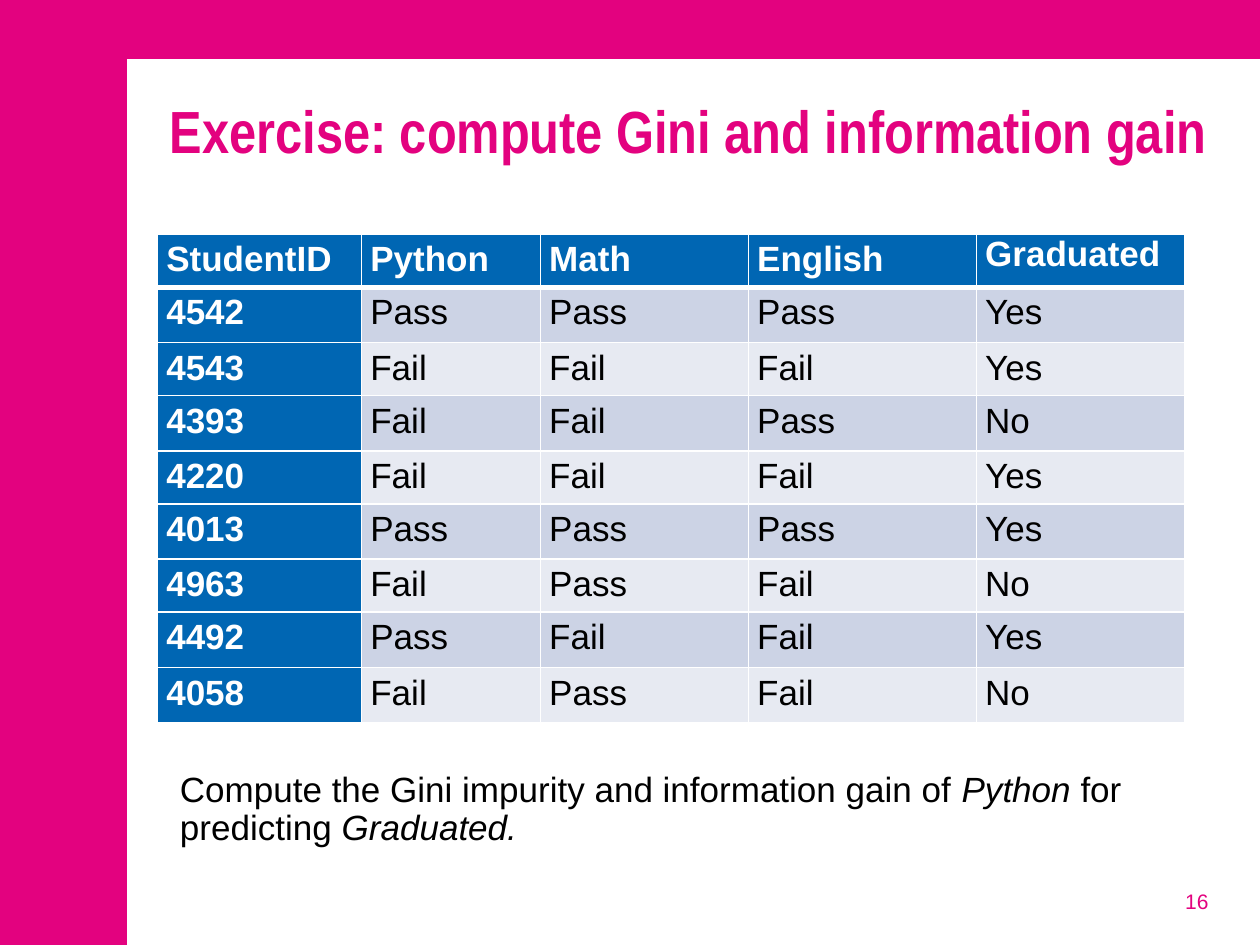
from dataclasses import dataclass

from lxml import etree
from pptx import Presentation
from pptx.dml.color import RGBColor
from pptx.enum.shapes import MSO_SHAPE
from pptx.enum.text import MSO_ANCHOR, PP_ALIGN
from pptx.oxml.ns import qn
from pptx.util import Inches, Pt

RECTANGLE = MSO_SHAPE.RECTANGLE
TOP, MIDDLE = MSO_ANCHOR.TOP, MSO_ANCHOR.MIDDLE
LEFT, RIGHT = PP_ALIGN.LEFT, PP_ALIGN.RIGHT


@dataclass(frozen=True)
class Theme:
    accent: str = "E3027F"
    paper: str = "FFFFFF"
    ink: str = "000000"
    header: str = "0066B3"
    bands: tuple = ("CCD3E5", "E7EAF2")
    font: str = "Arial"
    title_font: str = "Arial Narrow"
    title_size: int = 34
    body_size: int = 20
    number_size: int = 12


class SlideBuilder:
    def __init__(self, slide, theme):
        self.slide = slide
        self.theme = theme

    def background(self, color):
        fill = self.slide.background.fill
        fill.solid()
        fill.fore_color.rgb = RGBColor.from_string(color)

    def panel(self, box, color):
        shape = self.slide.shapes.add_shape(RECTANGLE, *map(Inches, box))
        shape.shadow.inherit = False
        shape.fill.solid()
        shape.fill.fore_color.rgb = RGBColor.from_string(color)
        shape.line.fill.background()

    def style(self, paragraph, size, color, font=None, bold=False):
        paragraph.font.name = font or self.theme.font
        paragraph.font.size = Pt(size)
        paragraph.font.bold = bold
        paragraph.font.color.rgb = RGBColor.from_string(color)

    def text(self, box, runs, size, color, font=None, bold=False,
             align=LEFT, anchor=TOP):
        """Add one paragraph; runs are (wording, italic) pairs."""
        frame = self.slide.shapes.add_textbox(*map(Inches, box)).text_frame
        frame.word_wrap = True
        frame.vertical_anchor = anchor
        paragraph = frame.paragraphs[0]
        paragraph.alignment = align
        self.style(paragraph, size, color, font, bold)
        for wording, italic in runs:
            run = paragraph.add_run()
            run.text = wording
            if italic:
                run.font.italic = True
        return frame

    def border(self, cell, side, points):
        line = etree.SubElement(cell._tc.get_or_add_tcPr(), qn(f"a:ln{side}"),
                                w=str(Pt(points)))
        fill = etree.SubElement(line, qn("a:solidFill"))
        etree.SubElement(fill, qn("a:srgbClr"), val=self.theme.paper)

    def cell(self, cell, wording, row, column):
        theme = self.theme
        heading = row == 0 or column == 0
        # Borders come before the fill in the cell properties
        for side in "LRTB":
            under_header = (row, side) in ((0, "B"), (1, "T"))
            self.border(cell, side, 3 if under_header else 1)
        cell.fill.solid()
        cell.fill.fore_color.rgb = RGBColor.from_string(
            theme.header if heading else theme.bands[(row - 1) % 2])
        cell.margin_left = cell.margin_right = Inches(0.07)
        cell.margin_top = cell.margin_bottom = 0
        cell.text = wording
        paragraph = cell.text_frame.paragraphs[0]
        self.style(paragraph, theme.body_size,
                   theme.paper if heading else theme.ink, bold=heading)
        return paragraph

    def table(self, left, top, widths, heights, records):
        table = self.slide.shapes.add_table(
            len(heights), len(widths), Inches(left), Inches(top),
            Inches(sum(widths)), Inches(sum(heights))).table
        for column, width in zip(table.columns, widths):
            column.width = Inches(width)
        for row, height in zip(table.rows, heights):
            row.height = Inches(height)
        for row, record in enumerate(records):
            for column, wording in enumerate(record):
                paragraph = self.cell(table.cell(row, column), wording, row, column)
                # The last heading keeps single line spacing
                if (row, column) != (0, len(widths) - 1):
                    paragraph.line_spacing = 1.15
                    paragraph.space_after = Pt(10)


STUDENTS = [
    ("StudentID", "Python", "Math", "English", "Graduated"),
    ("4542", "Pass", "Pass", "Pass", "Yes"),
    ("4543", "Fail", "Fail", "Fail", "Yes"),
    ("4393", "Fail", "Fail", "Pass", "No"),
    ("4220", "Fail", "Fail", "Fail", "Yes"),
    ("4013", "Pass", "Pass", "Pass", "Yes"),
    ("4963", "Fail", "Pass", "Fail", "No"),
    ("4492", "Pass", "Fail", "Fail", "Yes"),
    ("4058", "Fail", "Pass", "Fail", "No"),
]


def main():
    presentation = Presentation()
    presentation.slide_width, presentation.slide_height = Inches(10), Inches(7.5)
    theme = Theme()
    builder = SlideBuilder(
        presentation.slides.add_slide(presentation.slide_layouts[6]), theme)

    # Frame and page number
    builder.background(theme.accent)
    builder.panel((1.01, 0.47, 8.99, 7.03), theme.paper)
    builder.text((7.36, 6.95, 2.33, 0.4), [("16", False)], theme.number_size,
                 theme.accent, align=RIGHT, anchor=MIDDLE)

    # Title
    title = builder.text(
        (1.25, 0.7, 8.44, 1.34),
        [("Exercise: compute Gini and information gain", False)],
        theme.title_size, theme.accent, theme.title_font, bold=True)
    title.margin_right = 0

    # Student results
    builder.table(1.25, 1.86, (1.62, 1.42, 1.65, 1.81, 1.65),
                  (0.42, 0.44) * 4 + (0.44,), STUDENTS)

    # Task
    task = builder.text(
        (1.33, 6.08, 8.56, 0.9),
        [("Compute the Gini impurity and information gain of ", False),
         ("Python", True), (" for predicting ", False), ("Graduated.", True)],
        theme.body_size, theme.ink)
    task.paragraphs[0].line_spacing = 0.9
    task.paragraphs[0].space_before = Pt(4)

    presentation.save("out.pptx")


if __name__ == "__main__":
    main()
